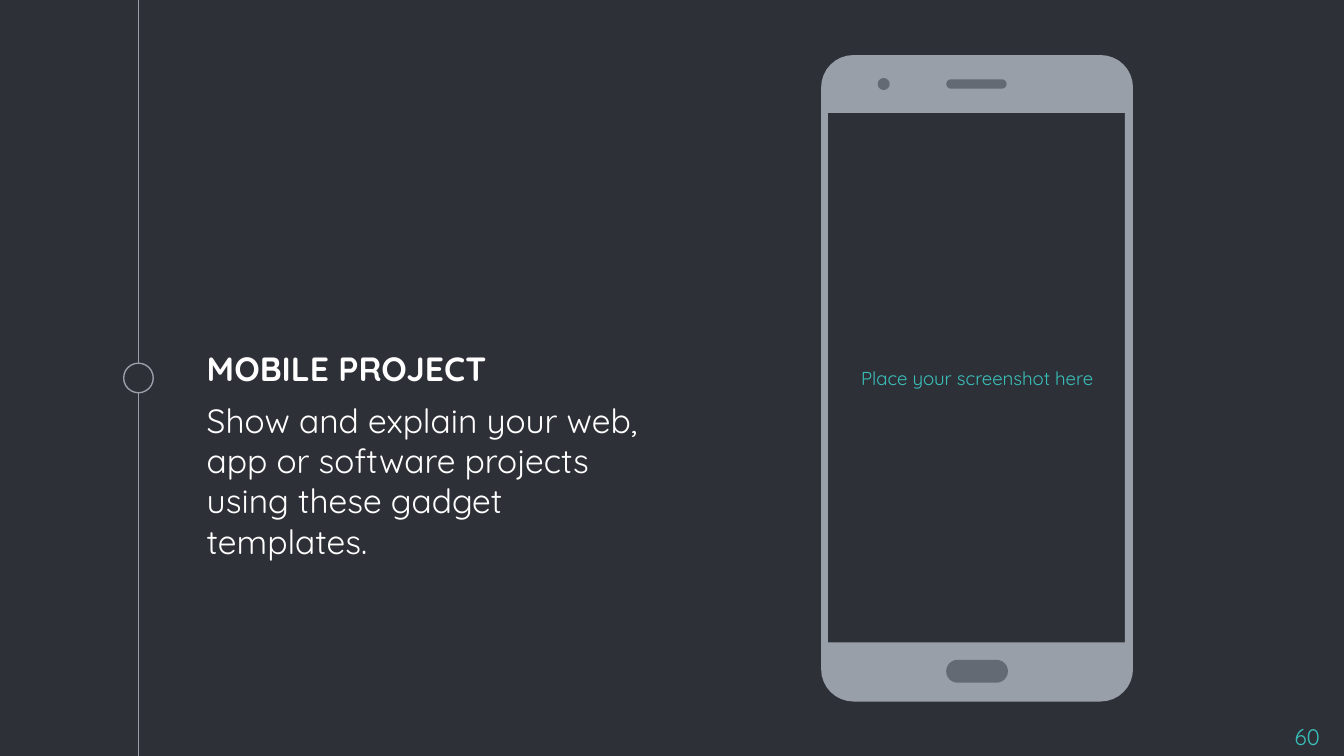
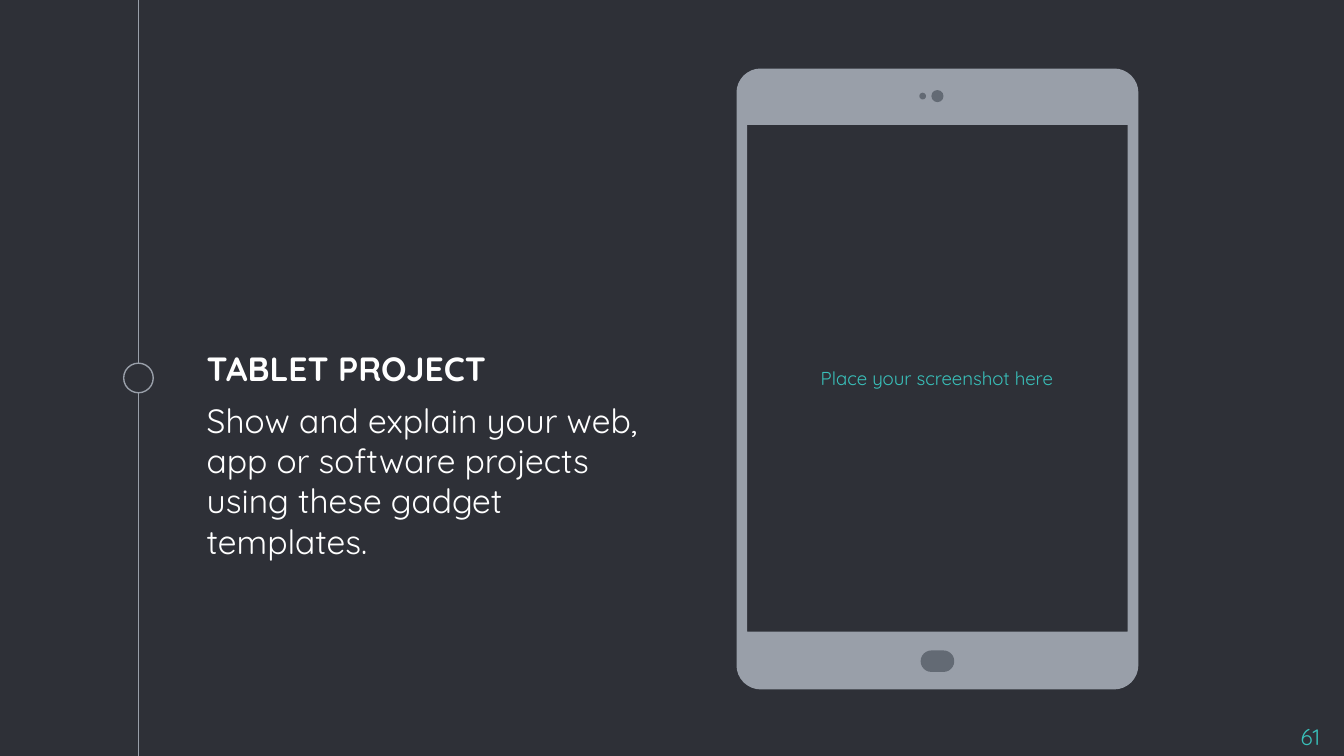
import math

from pptx import Presentation
from pptx.dml.color import RGBColor
from pptx.enum import shapes, text
from pptx.oxml import parse_xml
from pptx.oxml.ns import nsdecls
from pptx.util import Inches, Pt

BACKGROUND = RGBColor(0x2E, 0x30, 0x37)
FRAME = RGBColor(0x99, 0x9F, 0xA9)
DETAIL = RGBColor(0x63, 0x6A, 0x74)
ACCENT = RGBColor(0x39, 0xC0, 0xBA)
WHITE = RGBColor(0xFF, 0xFF, 0xFF)
FONT = "Quicksand"

SLIDE_WIDTH = 10
SLIDE_HEIGHT = SLIDE_WIDTH * 9 / 16
TIMELINE_X = 1.03
MARKER_SIZE = 0.22
INSET = 0.1
CORNER_STEPS = 8

OVAL = shapes.MSO_SHAPE.OVAL
PILL = shapes.MSO_SHAPE.ROUNDED_RECTANGLE

DESCRIPTION = "Show and explain your web, app or software projects using these gadget templates."
PROMPT = "Place your screenshot here"

# Boxes are left, top, width, height in inches.
DESCRIPTION_BOX = (1.44, 2.49, 3.53, 1.8)
NUMBER_BOX = (9.32, 5.28, 0.6, 0.34)

GADGETS = [
    {
        "title": "MOBILE PROJECT",
        "number": "60",
        "body": (6.11, 0.41, 2.32, 4.81),
        "radius": 0.24,
        "screen": (6.16, 0.84, 2.21, 3.94),
        "prompt": (6.17, 0.86, 2.2, 3.91),
        "details": [
            (PILL, (7.04, 4.91, 0.46, 0.17)),
            (OVAL, (6.53, 0.58, 0.09, 0.09)),
            (PILL, (7.04, 0.59, 0.45, 0.07)),
        ],
    },
    {
        "title": "TABLET PROJECT",
        "number": "61",
        "body": (5.48, 0.51, 2.99, 4.62),
        "radius": 0.18,
        "screen": (5.56, 0.93, 2.83, 3.77),
        "prompt": (5.55, 0.93, 2.84, 3.76),
        "details": [
            (PILL, (6.85, 4.84, 0.25, 0.16)),
            (OVAL, (6.84, 0.69, 0.05, 0.05)),
            (OVAL, (6.93, 0.67, 0.09, 0.09)),
        ],
    },
]


def inches(values):
    return [Inches(value) for value in values]


def paint(shape, fill, line=None):
    shape.shadow.inherit = False
    shape.fill.solid()
    shape.fill.fore_color.rgb = fill
    if line is None:
        shape.line.fill.background()
    else:
        shape.line.color.rgb = line
        shape.line.width = Pt(0.75)


def add_text(slide, box, lines, size, color,
             align=text.PP_ALIGN.LEFT, anchor=text.MSO_ANCHOR.TOP, space_before=0):
    """Add a text box; lines holds (wording, bold) pairs, one a paragraph."""
    frame = slide.shapes.add_textbox(*inches(box)).text_frame
    frame.word_wrap = True
    frame.vertical_anchor = anchor
    for side in ("left", "top", "right", "bottom"):
        setattr(frame, f"margin_{side}", Inches(INSET))
    for index, (wording, bold) in enumerate(lines):
        paragraph = frame.add_paragraph() if index else frame.paragraphs[0]
        paragraph.alignment = align
        paragraph.space_before = Pt(space_before)
        run = paragraph.add_run()
        run.text = wording
        for name, value in {"name": FONT, "size": Pt(size), "bold": bold}.items():
            setattr(run.font, name, value)
        run.font.color.rgb = color


def add_timeline(slide):
    line = slide.shapes.add_connector(
        shapes.MSO_CONNECTOR.STRAIGHT,
        *inches((TIMELINE_X, 0, TIMELINE_X, SLIDE_HEIGHT)))
    line.line.color.rgb = FRAME
    line.line.width = Pt(0.75)
    line._element.spPr.append(parse_xml(f"<a:effectLst {nsdecls('a')}/>"))
    marker = slide.shapes.add_shape(OVAL, *inches((
        TIMELINE_X - MARKER_SIZE / 2, (SLIDE_HEIGHT - MARKER_SIZE) / 2,
        MARKER_SIZE, MARKER_SIZE)))
    paint(marker, BACKGROUND, FRAME)


def rounded_outline(box, radius):
    """Points clockwise around a rounded rectangle, from the left of the top-left corner."""
    left, top, width, height = box
    near_x, far_x = left + radius, left + width - radius
    near_y, far_y = top + radius, top + height - radius
    corners = [(near_x, near_y), (far_x, near_y), (far_x, far_y), (near_x, far_y)]
    points = []
    for quarter, (x, y) in enumerate(corners):
        for step in range(CORNER_STEPS + 1):
            angle = math.pi + (quarter + step / CORNER_STEPS) * math.pi / 2
            points.append((x + radius * math.cos(angle), y + radius * math.sin(angle)))
    return points


def add_gadget(slide, gadget):
    """Draw the device frame with its screen cut out, then its buttons and lenses."""
    group = slide.shapes.add_group_shape()
    outline = [inches(point) for point in rounded_outline(gadget["body"], gadget["radius"])]
    left, top, width, height = inches(gadget["screen"])
    right, bottom = left + width, top + height
    builder = group.shapes.build_freeform(*outline[0])
    builder.add_line_segments(outline[1:], close=True)
    builder.move_to(left, top)
    builder.add_line_segments([(left, bottom), (right, bottom), (right, top)], close=True)
    paint(builder.convert_to_shape(), FRAME)
    for kind, box in gadget["details"]:
        detail = group.shapes.add_shape(kind, *inches(box))
        if kind == PILL:
            detail.adjustments[0] = 0.5
        paint(detail, DETAIL)


def add_gadget_slide(presentation, gadget):
    slide = presentation.slides.add_slide(presentation.slide_layouts[6])
    add_timeline(slide)
    add_text(slide, DESCRIPTION_BOX, [(gadget["title"], True), (DESCRIPTION, False)],
             18, WHITE, space_before=6)
    add_text(slide, NUMBER_BOX, [(gadget["number"], False)], 12, ACCENT,
             align=text.PP_ALIGN.RIGHT)
    add_text(slide, gadget["prompt"], [(PROMPT, False)], 10, ACCENT,
             align=text.PP_ALIGN.CENTER, anchor=text.MSO_ANCHOR.MIDDLE)
    add_gadget(slide, gadget)


def main():
    presentation = Presentation()
    presentation.slide_width = Inches(SLIDE_WIDTH)
    presentation.slide_height = Inches(SLIDE_HEIGHT)
    background = presentation.slide_master.background.fill
    background.solid()
    background.fore_color.rgb = BACKGROUND
    for gadget in GADGETS:
        add_gadget_slide(presentation, gadget)
    presentation.save("out.pptx")


if __name__ == "__main__":
    main()
